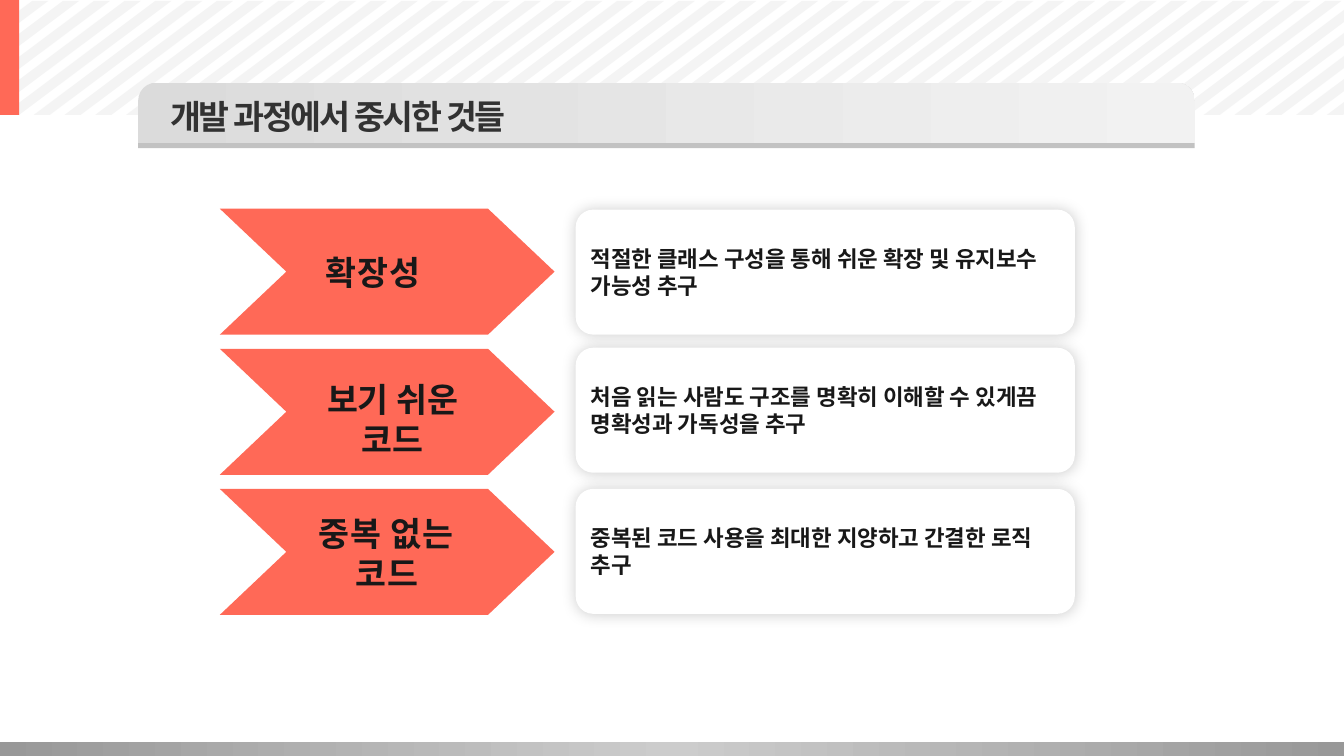
from dataclasses import dataclass

from lxml import etree
from copy import deepcopy
from pptx import Presentation
from pptx import util as u
from pptx.dml.color import RGBColor
from pptx.enum import shapes, text
from pptx.oxml.ns import qn

FONT = "Noto Sans CJK KR"
COLORS = {
    "stripe": "EBEBEB", "coral": "FF6957", "rule": "C2C2C2", "white": "FFFFFF",
    "title": "323232", "body": "181818", "shadow": "000000",
    "footer_edge": "989898", "footer_middle": "CCCCCC",
    "band_start": "DBDBDB", "band_end": "F2F2F2",
}
SLIDE_WIDTH, SLIDE_HEIGHT = 13.33, 7.5
STRIPE_TOP, STRIPE_BOTTOM = 0.01, 1.14
STRIPE_WIDTH, STRIPE_SHIFT = 0.16, 1.51
STRIPE_STEP = (13.16 - 0.03) / 43

Point = tuple[float, float]
Box = tuple[float, float, float, float]


@dataclass
class Principle:
    label: str
    label_box: Box
    spacing: float
    description: str
    arrow_top: float
    card_top: float


PRINCIPLES = [
    Principle("확장성", (2.98, 2.45, 1.44, 0.5), 0.8,
              "적절한 클래스 구성을 통해 쉬운 확장 및 유지보수 가능성 추구", 2.07, 2.08),
    Principle("보기 쉬운 코드", (2.98, 3.7, 1.83, 0.91), 0.8,
              "처음 읽는 사람도 구조를 명확히 이해할 수 있게끔 명확성과 가독성을 추구", 3.46, 3.45),
    Principle("중복 없는 코드", (2.98, 5.03, 1.71, 0.91), 0.8,
              "중복된 코드 사용을 최대한 지양하고 간결한 로직 추구", 4.85, 4.85),
]
PRINCIPLES[1].spacing = 0


def rgb(name: str) -> RGBColor:
    return RGBColor.from_string(COLORS[name])


def finish(shape, color: str) -> None:
    """Give a shape a plain fill, with no outline or shadow."""
    shape.fill.solid()
    shape.fill.fore_color.rgb = rgb(color)
    shape.line.fill.background()
    shape.shadow.inherit = False


def add_block(slide, kind, box: Box, color: str):
    shape = slide.shapes.add_shape(kind, *map(u.Inches, box))
    finish(shape, color)
    return shape


def add_polygon(slide, points: list[Point], color: str):
    corners = [(u.Inches(x), u.Inches(y)) for x, y in points]
    builder = slide.shapes.build_freeform(*corners[0])
    builder.add_line_segments(corners[1:], close=True)
    shape = builder.convert_to_shape()
    finish(shape, color)
    return shape


def set_gradient(shape, colors: list[str]) -> None:
    """Spread the colours evenly from left to right."""
    shape.fill.gradient()
    shape.fill.gradient_angle = 0
    stop_list = next(shape._element.spPr.iter(qn("a:gsLst")))
    for _ in colors[2:]:
        stop_list.append(deepcopy(stop_list[-1]))
    for index, (stop, color) in enumerate(zip(shape.fill.gradient_stops, colors)):
        stop.position = index / (len(colors) - 1)
        stop.color.rgb = rgb(color)


def set_alpha(shape, percent: int) -> None:
    color = next(shape._element.spPr.iter(qn("a:srgbClr")))
    etree.SubElement(color, qn("a:alpha"), val=str(percent * 1000))


def add_glow_shadow(shape) -> None:
    effects = shape._element.spPr.find(qn("a:effectLst"))
    shadow = etree.SubElement(effects, qn("a:outerShdw"), blurRad=str(u.Pt(11)),
                              dist="0", dir=str(74 * 60000), rotWithShape="0")
    color = etree.SubElement(shadow, qn("a:srgbClr"), val=COLORS["shadow"])
    etree.SubElement(color, qn("a:alpha"), val="20000")


def write(shape, words: str, size: int, color: str, alignment, anchor,
          spacing: float = 0) -> None:
    frame = shape.text_frame
    frame.word_wrap = True
    frame.vertical_anchor = anchor
    frame.text = words
    paragraph = frame.paragraphs[0]
    paragraph.alignment = alignment
    run = paragraph.runs[0]
    run.font.name = FONT
    run.font.size = u.Pt(size)
    run.font.bold = True
    run.font.color.rgb = rgb(color)
    properties = run.font._element
    etree.SubElement(properties, qn("a:ea"), typeface=FONT)
    if spacing:
        properties.set("spc", str(round(spacing * 100)))


def clip(points: list[Point], limit: float, side: int) -> list[Point]:
    """Keep the part right of the limit (side 1) or left of it (side -1)."""
    kept = []
    for (x1, y1), (x2, y2) in zip(points, points[1:] + points[:1]):
        inside, next_inside = side * (x1 - limit) >= 0, side * (x2 - limit) >= 0
        if inside:
            kept.append((x1, y1))
        if inside != next_inside:
            kept.append((limit, y1 + (y2 - y1) * (limit - x1) / (x2 - x1)))
    return kept


def add_stripes(slide) -> None:
    for index in range(-5, 44):
        left = 0.03 + index * STRIPE_STEP
        top_left = left + STRIPE_SHIFT
        stripe = [(left + STRIPE_WIDTH, STRIPE_BOTTOM),
                  (top_left + STRIPE_WIDTH, STRIPE_TOP),
                  (top_left, STRIPE_TOP), (left, STRIPE_BOTTOM)]
        stripe = clip(clip(stripe, 0, 1), SLIDE_WIDTH, -1)
        set_alpha(add_polygon(slide, stripe, "stripe"), 52)


def add_header(slide) -> None:
    rectangle = shapes.MSO_SHAPE.RECTANGLE
    footer = add_block(slide, rectangle, (0, 7.36, SLIDE_WIDTH, 0.14), "footer_edge")
    set_gradient(footer, ["footer_edge", "footer_middle", "footer_edge"])
    add_block(slide, rectangle, (0, 0, 0.19, 1.14), "coral")
    band = add_block(slide, shapes.MSO_SHAPE.ROUND_2_SAME_RECTANGLE,
                     (1.37, 0.82, 10.48, 0.6), "band_start")
    band.adjustments[0] = 0.3
    set_gradient(band, ["band_start", "band_end"])
    add_block(slide, rectangle, (1.37, 1.42, 10.48, 0.05), "rule")
    title = slide.shapes.add_textbox(*map(u.Inches, (1.59, 0.9, 5.66, 0.5)))
    write(title, "개발 과정에서 중시한 것들", 24, "title",
          text.PP_ALIGN.LEFT, text.MSO_ANCHOR.TOP, -1.5)


def add_principle(slide, principle: Principle) -> None:
    left, shoulder, tip, notch = 2.18, 4.84, 5.5, 2.84
    top, bottom = principle.arrow_top, principle.arrow_top + 1.25
    middle = (top + bottom) / 2
    add_polygon(slide, [(left, top), (shoulder, top), (tip, middle),
                        (shoulder, bottom), (left, bottom), (notch, middle)], "coral")
    card = add_block(slide, shapes.MSO_SHAPE.ROUNDED_RECTANGLE,
                     (5.71, principle.card_top, 4.95, 1.24), "white")
    card.adjustments[0] = 0.14
    add_glow_shadow(card)
    write(card, principle.description, 16, "body",
          text.PP_ALIGN.LEFT, text.MSO_ANCHOR.MIDDLE)
    label = slide.shapes.add_textbox(*map(u.Inches, principle.label_box))
    write(label, principle.label, 24, "body", text.PP_ALIGN.CENTER,
          text.MSO_ANCHOR.MIDDLE, principle.spacing)


def main() -> None:
    presentation = Presentation()
    presentation.slide_width = u.Inches(SLIDE_WIDTH)
    presentation.slide_height = u.Inches(SLIDE_HEIGHT)
    slide = presentation.slides.add_slide(presentation.slide_layouts[6])
    add_stripes(slide)
    add_header(slide)
    for principle in PRINCIPLES:
        add_principle(slide, principle)
    presentation.save("out.pptx")


if __name__ == "__main__":
    main()
